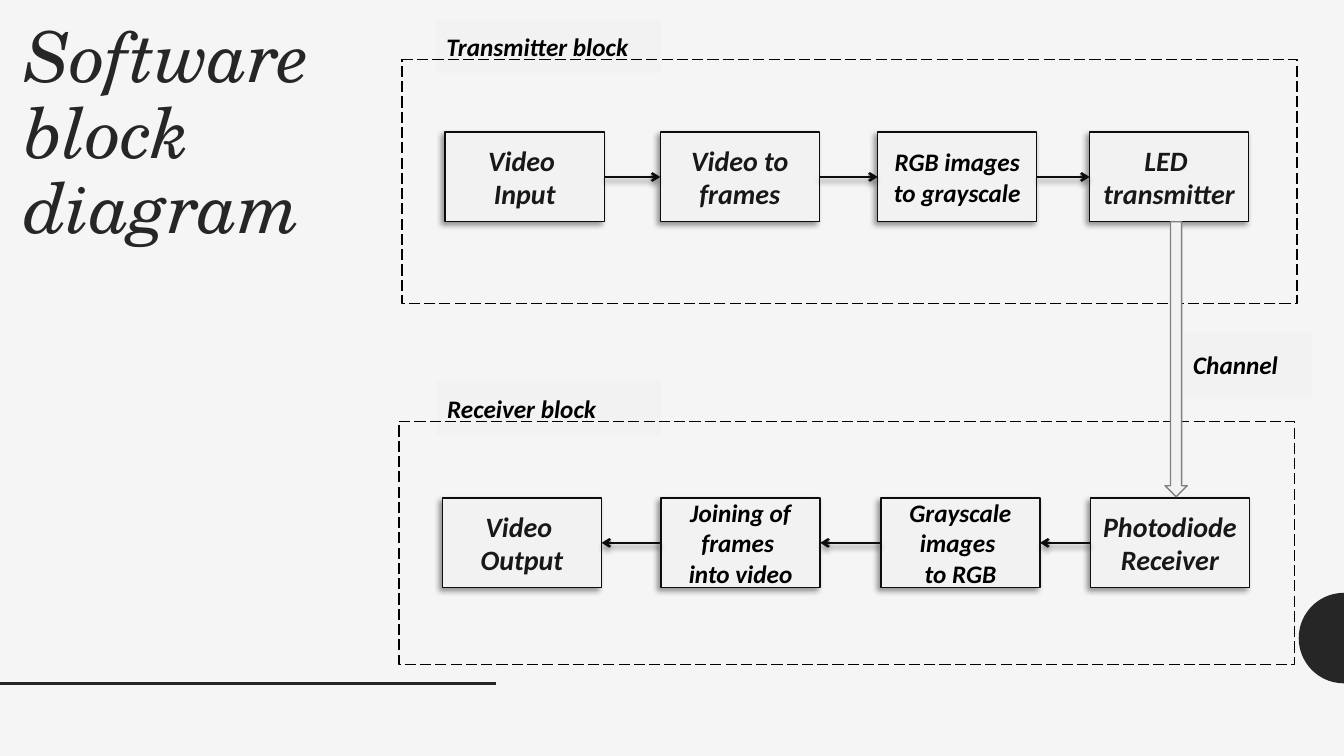
"""Build the software block diagram slide of a video link."""
import math

from lxml import etree
from pptx import Presentation
from pptx.dml.color import RGBColor
from pptx.enum.dml import MSO_LINE
from pptx.enum.shapes import MSO_CONNECTOR, MSO_SHAPE
from pptx.enum.text import MSO_ANCHOR, PP_ALIGN
from pptx.oxml.ns import qn
from pptx.util import Cm, Pt

RECT = MSO_SHAPE.RECTANGLE
PROCESS = MSO_SHAPE.FLOWCHART_PROCESS
DOWN_ARROW = MSO_SHAPE.DOWN_ARROW
STRAIGHT = MSO_CONNECTOR.STRAIGHT
LONG_DASH = MSO_LINE.LONG_DASH
TOP, MIDDLE = MSO_ANCHOR.TOP, MSO_ANCHOR.MIDDLE
LEFT, CENTER = PP_ALIGN.LEFT, PP_ALIGN.CENTER
LEFT_SITE, RIGHT_SITE = 1, 3

WIDTH, HEIGHT = 33.87, 19.05
STAGE_WIDTH, STAGE_HEIGHT = 4.01, 2.26
PAPER, PANEL, DARK = "F5F5F5", "F2F2F2", "262626"
OUTLINE, BLACK, INK, GRAY = "0D0D0D", "000000", "181818", "808080"

TRANSMITTER = [
    ("Video \nInput", 11.22, 20, INK),
    ("Video to\nframes", 16.64, 20, INK),
    ("RGB images to grayscale", 22.12, 18, BLACK),
    ("LED \ntransmitter", 27.46, 20, INK),
]
RECEIVER = [
    ("Photodiode\nReceiver", 27.48, 20, INK),
    ("Grayscale images \nto RGB", 22.2, 18, BLACK),
    ("Joining of frames \ninto video", 16.66, 18, BLACK),
    ("Video \nOutput", 11.15, 20, INK),
]


def rgb(value):
    return RGBColor.from_string(value)


class Diagram:
    """Holds the style and the slide, and draws each kind of element."""

    heading_font = "TeX Gyre Schola"
    body_font = "Calibri"

    def __init__(self, slide):
        self.shapes = slide.shapes
        fill = slide.background.fill
        fill.solid()
        fill.fore_color.rgb = rgb(PAPER)

    def set_text(self, frame, text, size, color, align, anchor, font, bold):
        frame.word_wrap = True
        frame.vertical_anchor = anchor
        frame.text = text
        for paragraph in frame.paragraphs:
            paragraph.alignment = align
            for run in paragraph.runs:
                run.font.name = font
                run.font.size = Pt(size)
                run.font.bold = bold
                run.font.italic = True
                run.font.color.rgb = rgb(color)

    def cast_shadow(self, effects, degrees):
        shadow = etree.SubElement(
            effects, qn("a:outerShdw"), blurRad=str(Pt(4)), dist=str(Pt(3)),
            dir=str(degrees * 60000), algn="t", rotWithShape="0")
        color = etree.SubElement(shadow, qn("a:srgbClr"), val=BLACK)
        etree.SubElement(color, qn("a:alpha"), val="40000")

    def shape(self, kind, x, y, w, h, fill, line):
        shape = self.shapes.add_shape(kind, Cm(x), Cm(y), Cm(w), Cm(h))
        shape.shadow.inherit = False
        if fill:
            shape.fill.solid()
            shape.fill.fore_color.rgb = rgb(fill)
        else:
            shape.fill.background()
        shape.line.color.rgb = rgb(line)
        shape.line.width = Pt(1)
        return shape

    def title(self, text, x, y, w, h):
        heading = self.shapes.add_textbox(Cm(x), Cm(y), Cm(w), Cm(h))
        self.set_text(heading.text_frame, text, 50, DARK, LEFT, TOP,
                      self.heading_font, False)
        for paragraph in heading.text_frame.paragraphs:
            paragraph.line_spacing = 0.9

    def label(self, text, x, y, w, h):
        tag = self.shape(RECT, x, y, w, h, PANEL, PANEL)
        self.set_text(tag.text_frame, text, 18, BLACK, LEFT, MIDDLE,
                      self.body_font, True)

    def panel(self, x, y, w, h):
        border = self.shape(PROCESS, x, y, w, h, None, BLACK)
        border.line.dash_style = LONG_DASH

    def stage(self, text, x, y, size, color):
        box = self.shape(RECT, x, y, STAGE_WIDTH, STAGE_HEIGHT, PANEL, OUTLINE)
        self.cast_shadow(box.element.spPr.find(qn("a:effectLst")), 135)
        self.set_text(box.text_frame, text, size, color, CENTER, MIDDLE,
                      self.body_font, True)
        return box

    def line(self, x1, y1, x2, y2, color, width):
        line = self.shapes.add_connector(
            STRAIGHT, Cm(x1), Cm(y1), Cm(x2), Cm(y2))
        line.line.color.rgb = rgb(color)
        line.line.width = Pt(width)
        effects = etree.SubElement(line.element.spPr, qn("a:effectLst"))
        return line, effects

    def arrow(self, source, target, start_site, end_site):
        arrow, effects = self.line(0, 0, 1, 1, OUTLINE, 1.75)
        arrow.begin_connect(source, start_site)
        arrow.end_connect(target, end_site)
        etree.SubElement(arrow.line._get_or_add_ln(), qn("a:tailEnd"),
                         type="arrow")
        self.cast_shadow(effects, 90)

    def chain(self, stages, y, start_site, end_site):
        boxes = [self.stage(text, x, y, size, color)
                 for text, x, size, color in stages]
        for source, target in zip(boxes, boxes[1:]):
            self.arrow(source, target, start_site, end_site)

    def half_disc(self, x, y, radius):
        angles = [math.radians(90 + 5 * step) for step in range(37)]
        points = [(Cm(x + radius * math.cos(angle)),
                   Cm(y + radius * math.sin(angle))) for angle in angles]
        builder = self.shapes.build_freeform(*points[0])
        builder.add_line_segments(points[1:], close=True)
        disc = builder.convert_to_shape()
        disc.shadow.inherit = False
        disc.fill.solid()
        disc.fill.fore_color.rgb = rgb(DARK)
        disc.line.fill.background()


def main():
    deck = Presentation()
    deck.slide_width, deck.slide_height = Cm(WIDTH), Cm(HEIGHT)
    diagram = Diagram(deck.slides.add_slide(deck.slide_layouts[6]))
    diagram.half_disc(WIDTH, 16.08, 1.14)
    diagram.line(0, 17.22, 12.5, 17.22, DARK, 2)
    diagram.label("Transmitter block", 11, 0.51, 5.64, 1.32)
    diagram.label("Receiver block", 11.02, 9.63, 5.61, 1.32)
    diagram.title("Software \nblock\ndiagram", 0.36, 0.43, 10.64, 14.2)
    diagram.chain(TRANSMITTER, 3.33, RIGHT_SITE, LEFT_SITE)
    diagram.chain(RECEIVER, 12.55, LEFT_SITE, RIGHT_SITE)
    diagram.panel(10.13, 1.5, 22.56, 6.15)
    diagram.panel(10.06, 10.62, 22.56, 6.12)
    diagram.label("Channel", 29.82, 8.38, 3.23, 1.6)
    diagram.shape(DOWN_ARROW, 29.36, 5.59, 0.56, 6.93, PANEL, GRAY)
    deck.save("out.pptx")


if __name__ == "__main__":
    main()
